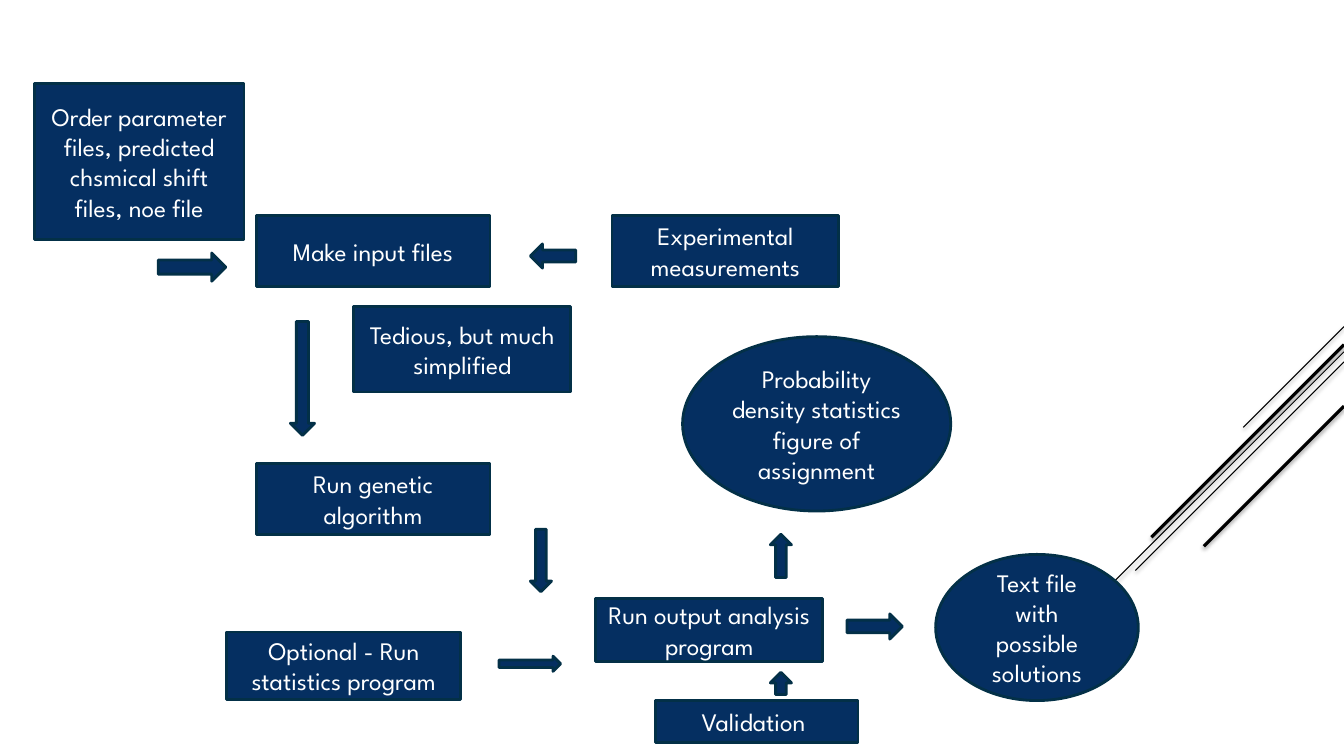
from lxml.etree import SubElement
from pptx import Presentation
from pptx.dml.color import RGBColor
from pptx.enum.shapes import MSO_CONNECTOR, MSO_SHAPE
from pptx.enum.text import MSO_ANCHOR, PP_ALIGN
from pptx.oxml.ns import qn
from pptx.util import Inches, Pt

WIDTH, HEIGHT = 13.33, 7.5
FONT, SIZE = "League Spartan", 18
NAVY, EDGE, WHITE, BLACK = "052F61", "033047", "FFFFFF", "000000"

# Steps: text, left, top, width, height
BOXES = [
    ("Order parameter files, predicted chsmical shift files, noe file", 0.34, 0.83, 2.08, 1.55),
    ("Make input files", 2.54, 2.14, 2.32, 0.7),
    ("Experimental measurements", 6.07, 2.14, 2.25, 0.7),
    ("Tedious, but much simplified", 3.51, 3.04, 2.15, 0.85),
    ("Run genetic algorithm", 2.54, 4.6, 2.32, 0.7),
    ("Optional - Run statistics program", 2.25, 6.27, 2.32, 0.67),
    ("Run output analysis program", 5.91, 5.94, 2.25, 0.62),
    ("Validation ", 6.5, 6.95, 2.01, 0.42),
]
RESULTS = [
    ("Probability density statistics figure of assignment", 6.77, 3.34, 2.66, 1.73),
    ("Text file with possible solutions", 9.28, 5.5, 2.01, 1.45),
]

# Block arrows: direction, left, top, width, height
ARROWS = [
    (MSO_SHAPE.RIGHT_ARROW, 1.57, 2.51, 0.67, 0.28),
    (MSO_SHAPE.LEFT_ARROW, 5.26, 2.42, 0.45, 0.24),
    (MSO_SHAPE.DOWN_ARROW, 2.88, 3.19, 0.24, 1.13),
    (MSO_SHAPE.DOWN_ARROW, 5.26, 5.25, 0.21, 0.62),
    (MSO_SHAPE.RIGHT_ARROW, 4.95, 6.51, 0.61, 0.15),
    (MSO_SHAPE.UP_ARROW, 7.64, 5.3, 0.21, 0.43),
    (MSO_SHAPE.UP_ARROW, 7.64, 6.67, 0.21, 0.22),
    (MSO_SHAPE.RIGHT_ARROW, 8.4, 6.09, 0.55, 0.25),
]

# 45-degree stripes from the right edge: start height, run, line width
STRIPES = [(3.24, 1.0, 0.75), (3.49, 3.26, 0.75), (3.59, 2.07, 0.75),
           (3.42, 1.91, 2.25), (4.03, 1.39, 2.25)]


def rgb(code):
    return RGBColor.from_string(code)


def add_stripe(s, top, run, weight):
    line = s.shapes.add_connector(MSO_CONNECTOR.STRAIGHT, Inches(WIDTH), Inches(top),
                                  Inches(WIDTH - run), Inches(top + run))
    line.line.color.rgb = rgb(BLACK)
    line.line.width = Pt(weight)
    # Soft shadow straight below
    effects = SubElement(line._element.spPr, qn("a:effectLst"))
    shadow = SubElement(effects, qn("a:outerShdw"), blurRad=str(Pt(3.1)),
                        dist=str(Pt(1.6)), dir="5400000", rotWithShape="0")
    color = SubElement(shadow, qn("a:srgbClr"), val=BLACK)
    SubElement(color, qn("a:alpha"), val="38000")


def add_block(s, kind, place, text=""):
    sp = s.shapes.add_shape(kind, *map(Inches, place))
    sp.shadow.inherit = False
    sp.fill.solid()
    sp.fill.fore_color.rgb = rgb(NAVY)
    sp.line.color.rgb = rgb(EDGE)
    sp.line.width = Pt(2)
    if text:
        tf = sp.text_frame
        tf.word_wrap = True
        tf.vertical_anchor = MSO_ANCHOR.MIDDLE
        p = tf.paragraphs[0]
        p.text = text
        p.alignment = PP_ALIGN.CENTER
        p.font.name, p.font.size = FONT, Pt(SIZE)
        p.font.color.rgb = rgb(WHITE)


def main():
    prs = Presentation()
    prs.slide_width, prs.slide_height = Inches(WIDTH), Inches(HEIGHT)
    s = prs.slides.add_slide(prs.slide_layouts[6])

    # Decoration behind the flow
    for stripe in STRIPES:
        add_stripe(s, *stripe)

    # Flow chart
    for kind, blocks in ((MSO_SHAPE.RECTANGLE, BOXES), (MSO_SHAPE.OVAL, RESULTS)):
        for text, *place in blocks:
            add_block(s, kind, place, text)
    for kind, *place in ARROWS:
        add_block(s, kind, place)

    prs.save("out.pptx")


if __name__ == "__main__":
    main()
